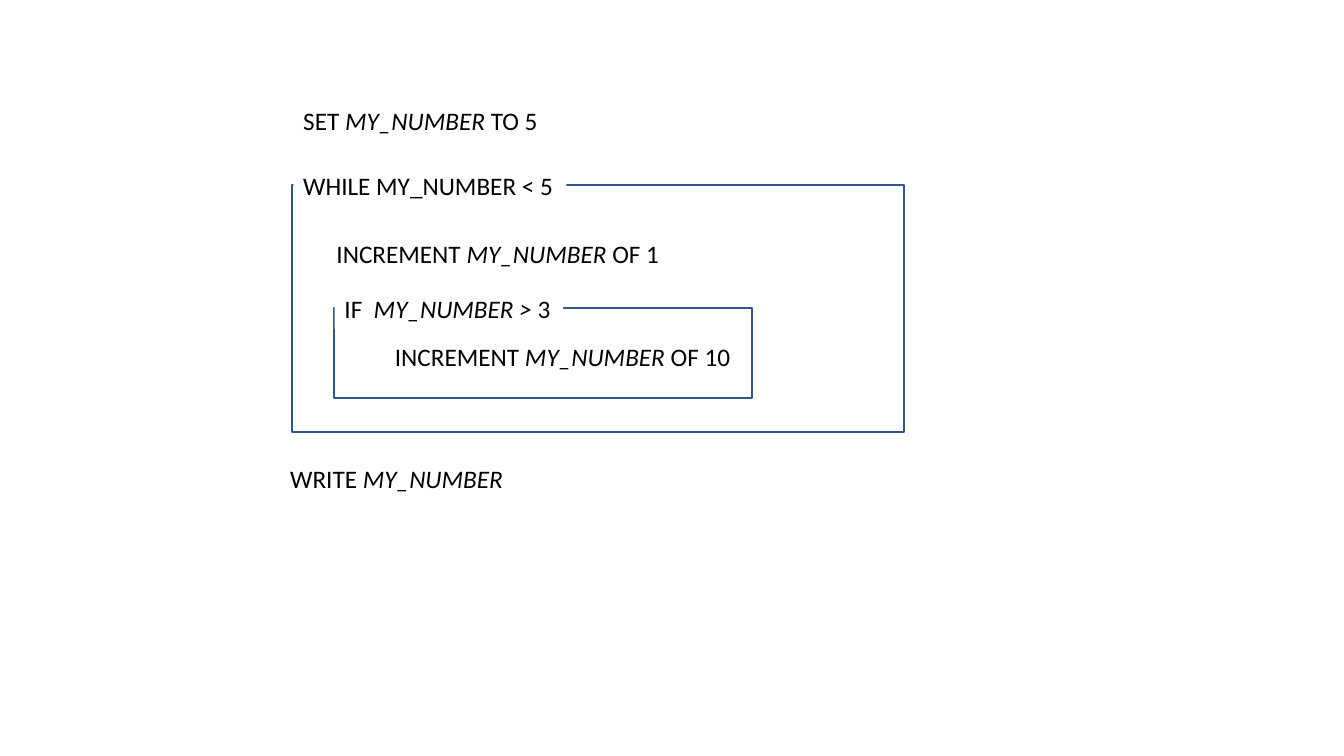
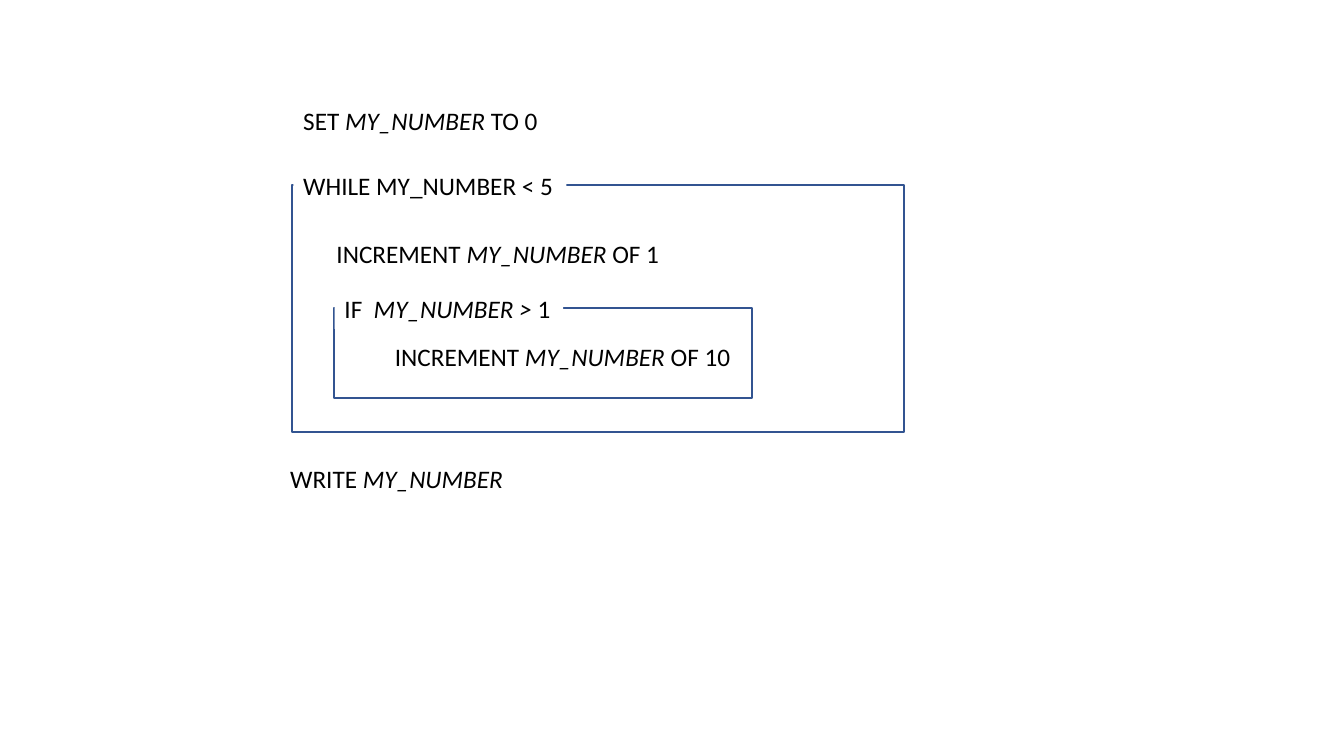
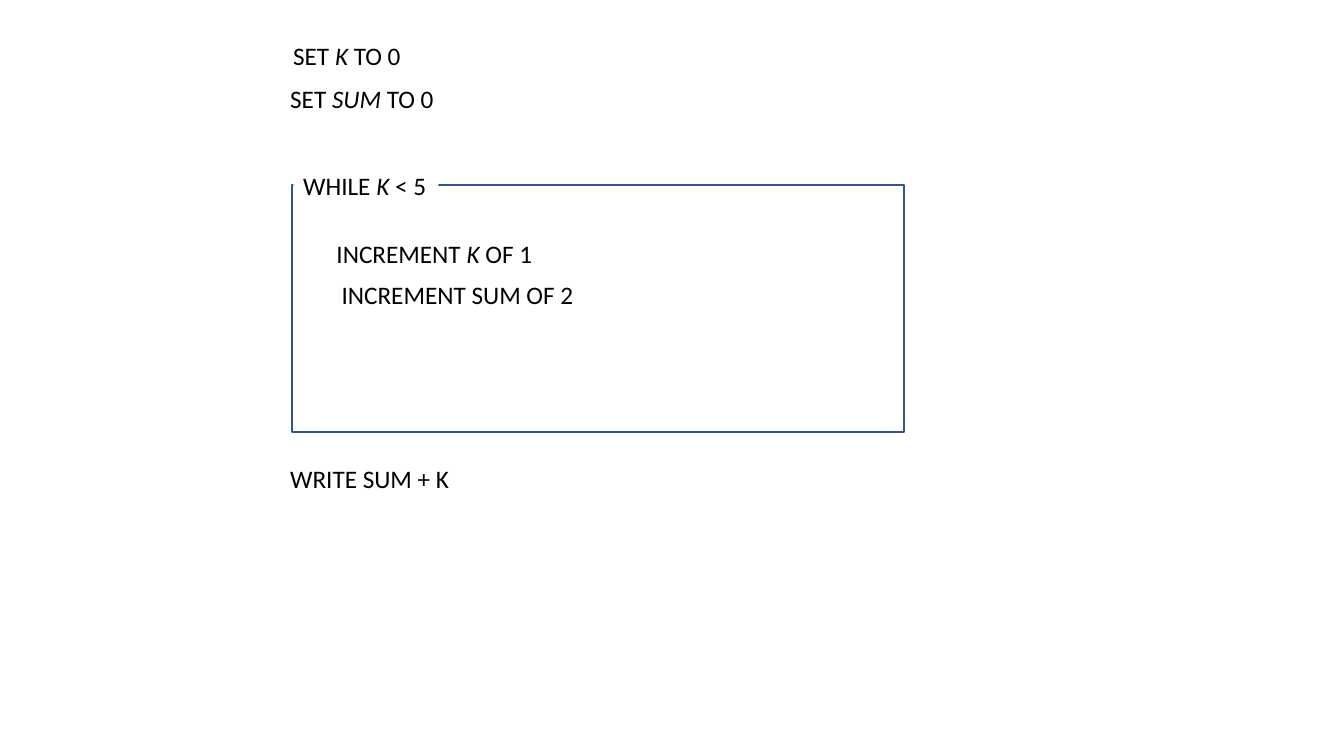
from pptx import Presentation
from pptx.dml.color import RGBColor
from pptx.enum.shapes import MSO_SHAPE
from pptx.enum.text import MSO_AUTO_SIZE
from pptx.util import Pt

RECTANGLE = MSO_SHAPE.RECTANGLE
FIT_SHAPE = MSO_AUTO_SIZE.SHAPE_TO_FIT_TEXT

FONT, SIZE = "Calibri", 18
BLACK, WHITE, BLUE = "000000", "FFFFFF", "325491"
LINE_HEIGHT = 29.08
LOOP = (208.8, 132.4, 437.1, 176.4)
BRANCH_OFFSET = (29.5, 87.8)
BRANCH_SIZE = (298.8, 64.1)


def color(value):
    """Turn a hex string into a colour."""
    return RGBColor.from_string(value)


def add_text(page, text, left, top, width, fill=None, ink=BLACK, size=SIZE):
    """Write one line of text; parts between asterisks are italic."""
    box = page.shapes.add_textbox(Pt(left), Pt(top), Pt(width), Pt(LINE_HEIGHT))
    if fill:
        box.fill.solid()
        box.fill.fore_color.rgb = color(fill)
    frame = box.text_frame
    frame.word_wrap = False
    frame.auto_size = FIT_SHAPE
    para = frame.paragraphs[0]
    for index, part in enumerate(text.split("*")):
        if part:
            span = para.add_run()
            span.text = part
            span.font.name = FONT
            span.font.size = Pt(size)
            span.font.italic = index % 2 == 1
            span.font.color.rgb = color(ink)


def add_block(page, box, label, label_width, statements):
    """Draw an outlined block, its label on the top edge, and its statements."""
    left, top, width, height = box
    outline = page.shapes.add_shape(RECTANGLE, Pt(left), Pt(top), Pt(width), Pt(height))
    outline.shadow.inherit = False
    outline.fill.background()
    outline.line.color.rgb = color(BLUE)
    outline.line.width = Pt(1.5)
    add_text(page, label, left + 0.7, top - 14.4, label_width, fill=WHITE)
    for text, indent, drop, text_width in statements:
        add_text(page, text, left + indent, top + drop, text_width)


def add_program(deck, before, condition, condition_width, body, after, after_width):
    """Add a page with the lines before a loop, the loop, and the line after it."""
    page = deck.slides.add_slide(deck.slide_layouts[6])
    left, top, _, height = LOOP
    add_block(page, LOOP, condition, condition_width, body)
    for text, indent, rise, width in before:
        add_text(page, text, left + indent, top - rise, width)
    add_text(page, after, left - 8.6, top + height + 18.8, after_width)
    return page


def add_branch_program(deck, start, limit):
    """Add a program whose loop holds a branch."""
    page = add_program(
        deck,
        [(f"SET *MY_NUMBER *TO {start}", 0.7, 60.4, 183.6)],
        "WHILE MY_NUMBER < 5", 195.1,
        [("INCREMENT *MY_NUMBER *OF 1", 24.5, 34.6, 247)],
        "WRITE *MY_NUMBER*", 167.8,
    )
    corner = tuple(start + offset for start, offset in zip(LOOP, BRANCH_OFFSET))
    add_block(
        page, corner + BRANCH_SIZE,
        f"IF * MY_NUMBER >* {limit}", 163.4,
        [("INCREMENT *MY_NUMBER *OF 10", 36.7, 20.2, 256.3)],
    )


def add_sum_program(deck):
    """Add a program whose loop counts and sums."""
    add_program(
        deck,
        [("SET *K *TO 0", -6.5, 107.2, 92.2), ("SET *SUM *TO 0", -8.6, 76.2, 118.1)],
        "WHILE *K* < 5", 103.7,
        [("INCREMENT *K *OF 1", 24.5, 34.6, 155.5), ("INCREMENT SUM OF 2", 28.1, 63.4, 181.4)],
        "WRITE SUM + K", 129.6,
    )


def main():
    """Build the deck and save it."""
    deck = Presentation()
    deck.slide_width, deck.slide_height = Pt(960), Pt(540)
    for start, limit in ((5, 3), (0, 1)):
        add_branch_program(deck, start, limit)
    add_sum_program(deck)
    deck.save("out.pptx")


if __name__ == "__main__":
    main()
